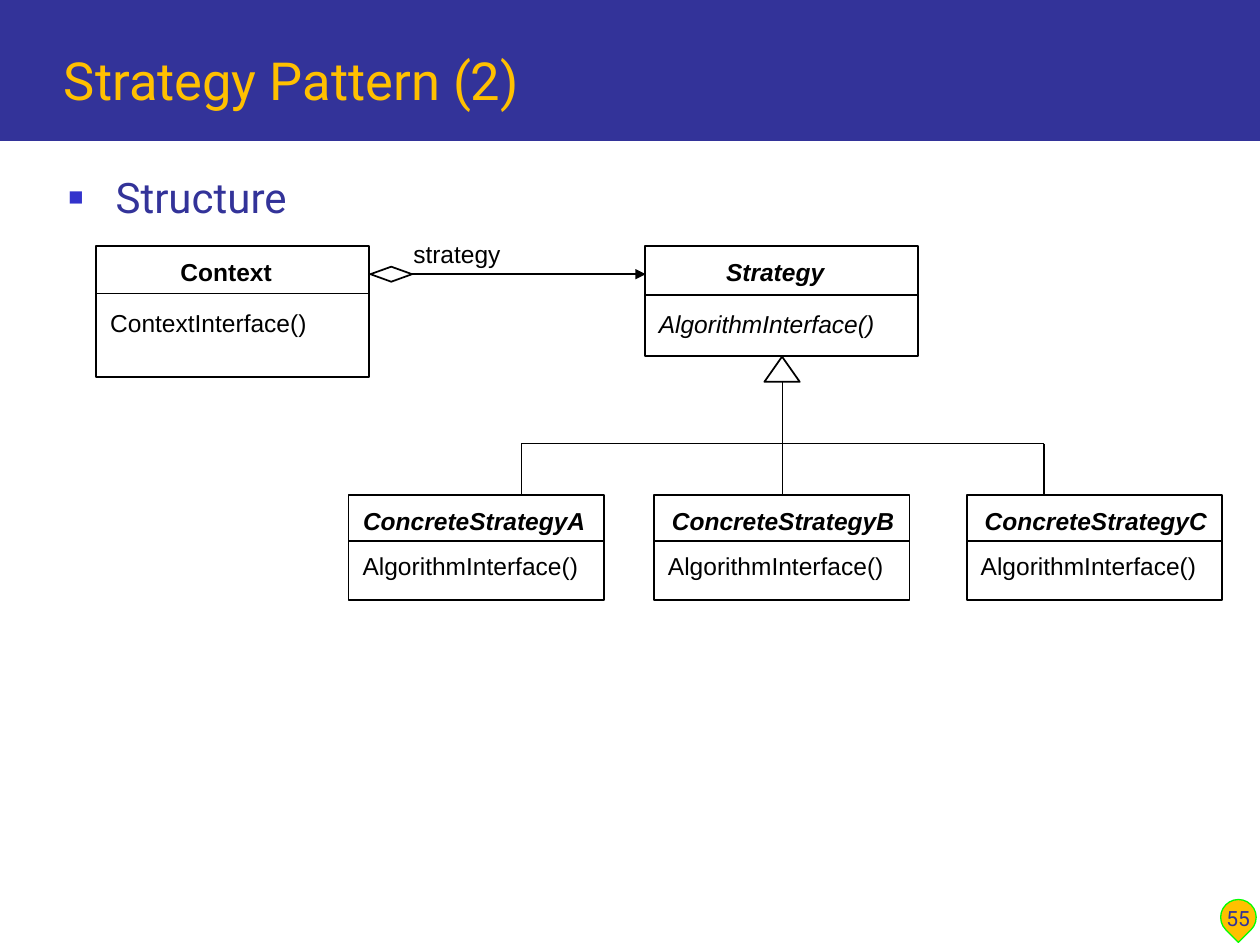
from dataclasses import dataclass
from lxml.etree import SubElement
from pptx import Presentation
from pptx.dml.color import RGBColor
from pptx.enum.shapes import MSO_CONNECTOR as Connector, MSO_SHAPE as Preset
from pptx.enum.text import MSO_ANCHOR as Anchor, PP_ALIGN as Align
from pptx.oxml.ns import qn
from pptx.util import Pt

TITLE = "Strategy Pattern (2)"
HEADING = "Structure"
PAGE_NUMBER = "55"
ROLE = "strategy"
CONCRETE = {"size": (146, 60), "rule": 26, "name_size": 143, "method_top": 28.8, "bold_italic": True,
            "method": "AlgorithmInterface()", "method_italic": False}
CLASSES = [
    {"name": "Context", "at": (55, 140.5), "size": (156, 75), "rule": 27.3, "name_left": 16.3,
     "name_size": 116, "method_top": 32.3, "bold_italic": False,
     "method": "ContextInterface()", "method_italic": False},
    {"name": "Strategy", "at": (368.5, 140.5), "size": (156, 63), "rule": 28, "name_left": 16.5,
     "name_size": 116, "method_top": 33, "bold_italic": True,
     "method": "AlgorithmInterface()", "method_italic": True},
    {"name": "ConcreteStrategyA", "at": (199.2, 283), "name_left": 0.3, **CONCRETE},
    {"name": "ConcreteStrategyB", "at": (373.7, 283), "name_left": 2.3, **CONCRETE},
    {"name": "ConcreteStrategyC", "at": (552.4, 283), "name_left": 2.3, **CONCRETE},
]
BUS_TOP = 253.5
BRANCHES = (298, 447.2, 596.8)


@dataclass(frozen=True)
class Theme:
    navy: str = "333399"
    gold: str = "FFC000"
    bullet: str = "3333CC"
    pin: str = "00FF00"
    ink: str = "000000"
    paper: str = "FFFFFF"
    sans: str = "Roboto"
    diagram: str = "Arial"
    title: int = 30
    heading: int = 24
    label: int = 14
    number: int = 12


THEME = Theme()


def add_preset(page, preset, left, top, width, height, fill=None, line=None, weight=1):
    shape = page.shapes.add_shape(preset, Pt(left), Pt(top), Pt(width), Pt(height))
    shape.shadow.inherit = False
    if fill:
        shape.fill.solid()
        shape.fill.fore_color.rgb = RGBColor.from_string(fill)
    else:
        shape.fill.background()
    if line:
        shape.line.color.rgb = RGBColor.from_string(line)
        shape.line.width = Pt(weight)
    else:
        shape.line.fill.background()
    return shape


def add_line(page, start, end, arrow=False):
    line = page.shapes.add_connector(Connector.STRAIGHT, *map(Pt, (*start, *end)))
    line.line.color.rgb = RGBColor.from_string(THEME.ink)
    line.line.width = Pt(1)
    if arrow:
        SubElement(line.line._get_or_add_ln(), qn("a:tailEnd"), type="triangle")
    SubElement(line._element.spPr, qn("a:effectLst"))


def add_text(page, text, left, top, width, height, size, color, font=THEME.sans, bold=False,
             italic=False, align=Align.LEFT, anchor=Anchor.TOP, insets=(7.2, 3.6), bullet=False):
    frame = page.shapes.add_textbox(Pt(left), Pt(top), Pt(width), Pt(height)).text_frame
    frame.word_wrap = True
    frame.vertical_anchor = anchor
    frame.margin_left = frame.margin_right = Pt(insets[0])
    frame.margin_top = frame.margin_bottom = Pt(insets[1])
    para = frame.paragraphs[0]
    para.alignment = align
    if bullet:
        props = para._p.get_or_add_pPr()
        props.set("marL", str(Pt(27)))
        props.set("indent", str(-Pt(27)))
        SubElement(SubElement(props, qn("a:buClr")), qn("a:srgbClr"), val=THEME.bullet)
        SubElement(props, qn("a:buSzPct"), val="60000")
        SubElement(props, qn("a:buFont"), typeface=THEME.diagram)
        SubElement(props, qn("a:buChar"), char="■")
    span = para.add_run()
    span.text = text
    span.font.name, span.font.size = font, Pt(size)
    span.font.bold, span.font.italic = bold, italic
    span.font.color.rgb = RGBColor.from_string(color)


def add_label(page, text, left, top, width, **style):
    add_text(page, text, left, top, width, 23, THEME.label, THEME.ink, THEME.diagram,
             insets=(6.5, 3.1), **style)


def add_class(page, item):
    (left, top), (width, height) = item["at"], item["size"]
    add_preset(page, Preset.RECTANGLE, left, top, width, height, line=THEME.ink)
    add_label(page, item["name"], left + item["name_left"], top + 3, item["name_size"],
              bold=True, italic=item["bold_italic"], align=Align.CENTER)
    add_label(page, item["method"], left + 1.5, top + item["method_top"], width - 6,
              italic=item["method_italic"])
    rule = top + item["rule"]
    add_line(page, (left, rule), (left + width, rule))


def add_relations(page):
    add_line(page, (235, 156.7), (369, 156.7), arrow=True)
    add_preset(page, Preset.DIAMOND, 211.7, 152.4, 23.8, 8.6, THEME.paper, THEME.ink)
    add_label(page, ROLE, 229.7, 133.5, 64)
    add_line(page, (BRANCHES[0], BUS_TOP), (BRANCHES[-1], BUS_TOP))
    for branch in BRANCHES:
        add_line(page, (branch, BUS_TOP), (branch, 283))
    add_line(page, (BRANCHES[1], 218), (BRANCHES[1], BUS_TOP))
    add_preset(page, Preset.ISOSCELES_TRIANGLE, 436.8, 203.8, 20.2, 14.4, THEME.paper, THEME.ink)


def main():
    """Build the Strategy pattern class diagram slide."""
    deck = Presentation()
    deck.slide_width, deck.slide_height = Pt(720), Pt(540)
    page = deck.slides.add_slide(deck.slide_layouts[6])
    add_preset(page, Preset.RECTANGLE, 0, 0, 720, 80.5, THEME.navy)
    pin = add_preset(page, Preset.TEAR, 697.5, 514, 20.3, 20.3, THEME.gold, THEME.pin, 0.75)
    pin.rotation = 135
    add_text(page, HEADING, 32, 94.3, 668, 389, THEME.heading, THEME.navy, bullet=True)
    add_text(page, TITLE, 29.5, 12.2, 673, 54.7, THEME.title, THEME.gold, anchor=Anchor.BOTTOM)
    for item in CLASSES:
        add_class(page, item)
    add_relations(page)
    add_text(page, PAGE_NUMBER, 687, 499.7, 41, 36, THEME.number, THEME.navy,
             align=Align.CENTER, anchor=Anchor.BOTTOM)
    deck.save("out.pptx")


if __name__ == "__main__":
    main()
